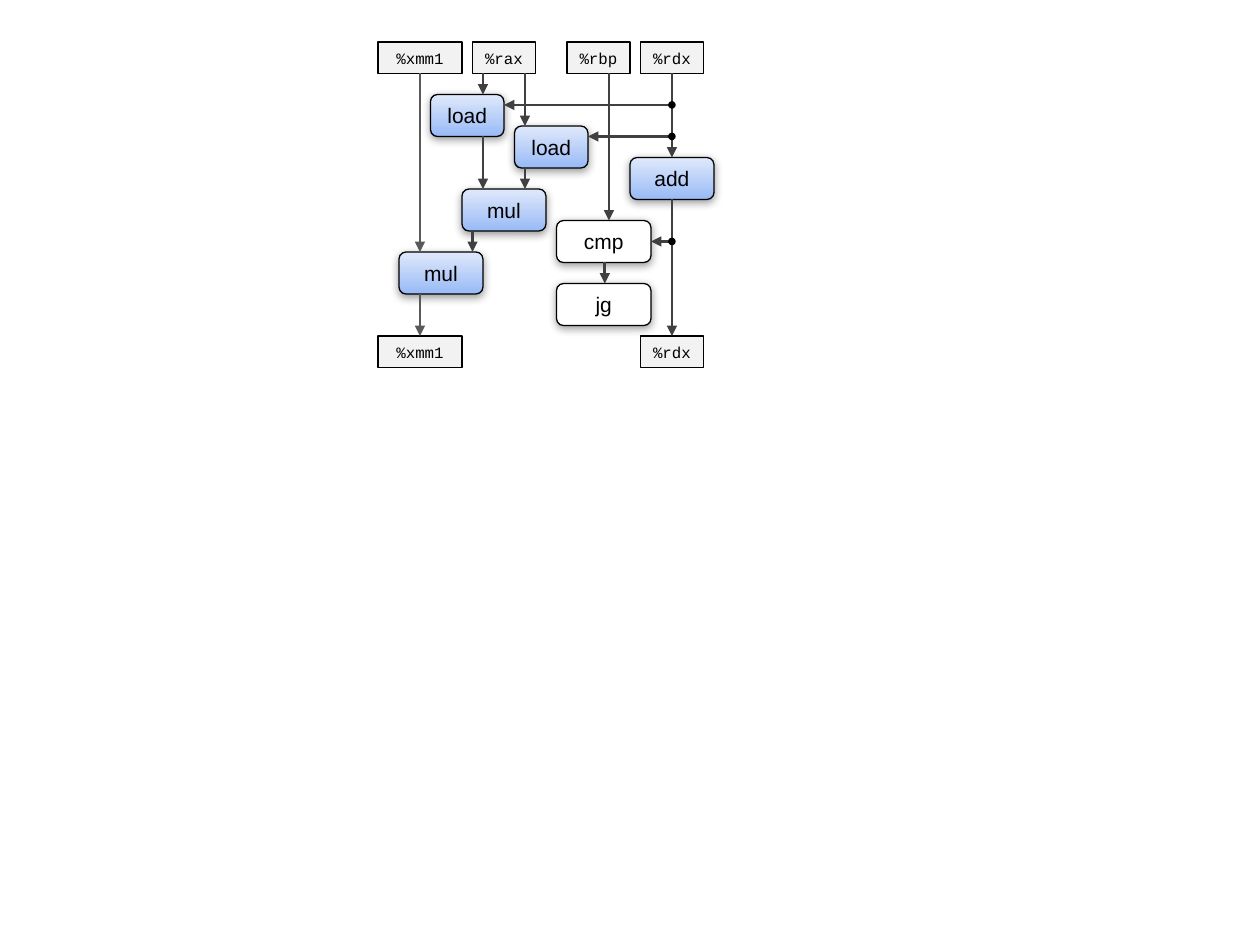
import pptx
import pptx.util
import pptx.dml.color
import pptx.enum.shapes
import pptx.enum.text
import pptx.oxml

Inches, Pt = pptx.util.Inches, pptx.util.Pt
KIND = pptx.enum.shapes.MSO_SHAPE
NS = 'xmlns:a="http://schemas.openxmlformats.org/drawingml/2006/main"'

COLORS = {"ink": "000000", "reg": "F2F2F2", "plain": "FFFFFF",
          "low": "98BAF6", "high": "E0E9FB", "flow": "404040", "xmm": "595959"}

# All places are in grid steps of a twelfth of an inch
STEP = 12
REG_H, OP_H = 3, 4
DOT = 0.06  # inches

# Registers: name, left, top, width
REGS = [("%xmm1", 36, 4, 8), ("%rax", 45, 4, 6), ("%rbp", 54, 4, 6),
        ("%rdx", 61, 4, 6), ("%xmm1", 36, 32, 8), ("%rdx", 61, 32, 6)]

# Operations: name, left, top, width, fill
OPS = [("load", 41, 9, 7, "blue"), ("load", 49, 12, 7, "blue"),
       ("add", 60, 15, 8, "blue"), ("mul", 44, 18, 8, "blue"),
       ("mul", 38, 24, 8, "blue"), ("cmp", 53, 21, 9, "plain"),
       ("jg", 53, 27, 9, "plain")]

# Downward arrows: x, top, bottom, colour
DOWN = [(40, 7, 24, "xmm"), (40, 28, 32, "xmm"), (64, 7, 15, "flow"),
        (64, 19, 32, "flow"), (46, 7, 9, "flow"), (46, 13, 18, "flow"),
        (50, 7, 12, "flow"), (50, 16, 18, "flow"), (45, 22, 24, "flow"),
        (58, 7, 21, "flow"), (57.6, 25, 27, "flow")]

# Branches to the left from the %rdx line: y, end x
RDX = 64
TAPS = [(10, 48), (13, 56), (23, 62)]


def grid(n):
    return Inches(n / STEP)


def rgb(name):
    return pptx.dml.color.RGBColor.from_string(COLORS[name])


def add_xml(parent, xml):
    parent.append(pptx.oxml.parse_xml(xml))


def box(kind, name, left, top, width, height, font, size, edge):
    shape = slide.shapes.add_shape(
        kind, grid(left), grid(top), grid(width), grid(height))
    shape.shadow.inherit = False
    shape.line.color.rgb = rgb("ink")
    shape.line.width = Pt(edge)
    frame = shape.text_frame
    frame.margin_left = frame.margin_right = 0
    frame.margin_top = frame.margin_bottom = 0
    frame.vertical_anchor = pptx.enum.text.MSO_ANCHOR.MIDDLE
    para = frame.paragraphs[0]
    para.text = name
    para.alignment = pptx.enum.text.PP_ALIGN.CENTER
    para.font.name = font
    para.font.size = Pt(size)
    para.font.color.rgb = rgb("ink")
    return shape


def paint(shape, fill):
    if fill != "blue":
        shape.fill.solid()
        shape.fill.fore_color.rgb = rgb(fill)
        return
    shape.fill.gradient()
    shape.fill.gradient_angle = 90
    for stop, tone in zip(shape.fill.gradient_stops, ("low", "high")):
        stop.color.rgb = rgb(tone)


def shade(shape):
    effects = shape._element.spPr.find(pptx.oxml.ns.qn("a:effectLst"))
    add_xml(effects, f'<a:outerShdw {NS} blurRad="{Pt(5)}" dist="{Pt(1.6)}" '
            'dir="5400000" rotWithShape="0"><a:srgbClr val="000000">'
            '<a:alpha val="38000"/></a:srgbClr></a:outerShdw>')


def arrow(x1, y1, x2, y2, color):
    line = slide.shapes.add_connector(
        pptx.enum.shapes.MSO_CONNECTOR.STRAIGHT,
        grid(x1), grid(y1), grid(x2), grid(y2))
    line.line.color.rgb = rgb(color)
    line.line.width = Pt(1.5)
    add_xml(line.line._get_or_add_ln(), f'<a:tailEnd {NS} type="triangle"/>')
    add_xml(line._element.spPr, f"<a:effectLst {NS}/>")


deck = pptx.Presentation()
deck.slide_width, deck.slide_height = Inches(10), Inches(7.5)
slide = deck.slides.add_slide(deck.slide_layouts[6])

# Registers
for name, left, top, width in REGS:
    reg = box(KIND.RECTANGLE, name, left, top, width, REG_H,
              "Courier New", 9, 1)
    paint(reg, "reg")

# Operations
for name, left, top, width, fill in OPS:
    step = box(KIND.ROUNDED_RECTANGLE, name, left, top, width, OP_H,
               "Arial", 12, 0.75)
    paint(step, fill)
    shade(step)

# Data flow
for x, top, end, color in DOWN:
    arrow(x, top, x, end, color)

# Branches and their junction dots
for y, end in TAPS:
    arrow(RDX, y, end, y, "flow")
    dot = slide.shapes.add_shape(
        KIND.OVAL, grid(RDX) - Inches(DOT / 2), grid(y) - Inches(DOT / 2),
        Inches(DOT), Inches(DOT))
    dot.shadow.inherit = False
    paint(dot, "ink")
    dot.line.fill.background()

deck.save("out.pptx")
